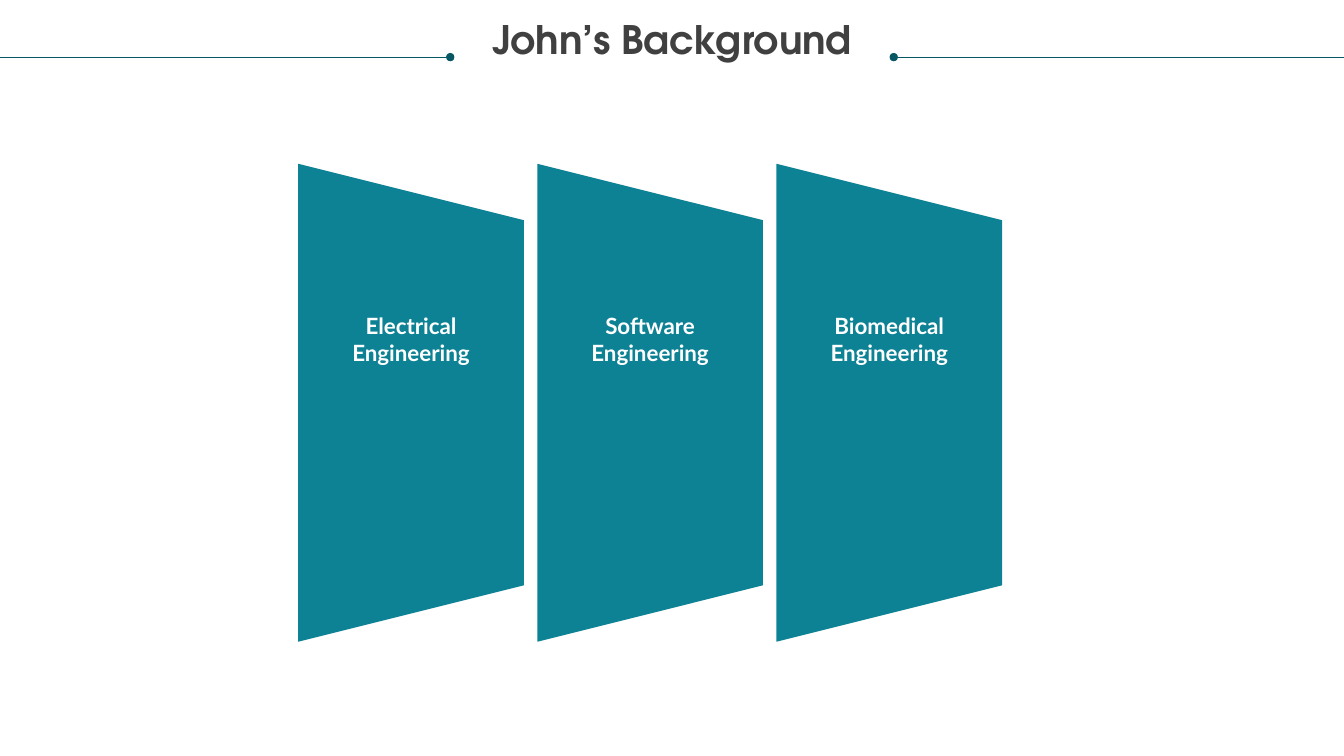
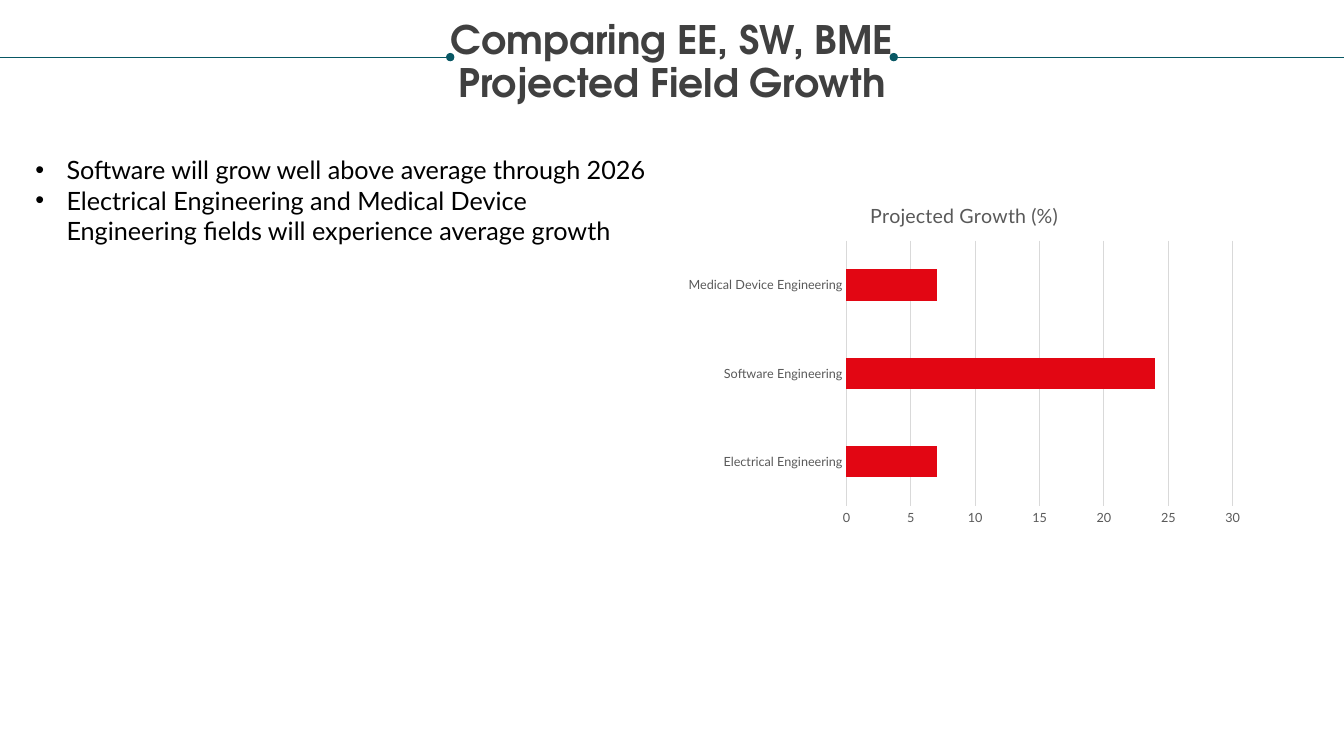
from collections import namedtuple

from pptx import Presentation
from pptx import util as u
from pptx.chart import data as chart_data
from pptx.dml import color
from pptx.enum import chart as chart_enum
from pptx.enum import shapes, text
from pptx.oxml import ns
from lxml import etree

COLS, ROWS = 160, 90
CELL = u.Inches(1 / 12)
RULE, INK, TEAL, RED = "085764", "404040", "0D8295", "E20613"
GREY, GRID, WHITE, BLACK = "595959", "D9D9D9", "FFFFFF", "000000"
HEADING_FONT, BODY_FONT = "TeX Gyre Adventor", "Lato"

Box = namedtuple("Box", "left top width height")


def cells(amount):
    """Turn grid cells into a length."""
    return u.Emu(round(amount * CELL))


def place(box):
    """Turn a box in grid cells into four lengths."""
    return [cells(side) for side in box]


def paint(target, hex_colour):
    """Give a fill or a line's fill one solid colour."""
    target.solid()
    target.fore_color.rgb = color.RGBColor.from_string(hex_colour)


def style(font, name, size, hex_colour, bold=False):
    """Set the face, size and colour of a font."""
    font.name, font.size, font.bold = name, u.Pt(size), bold
    font.color.rgb = color.RGBColor.from_string(hex_colour)


def add_child(parent, tag, **attributes):
    """Append one drawing element to an XML parent."""
    return etree.SubElement(parent, ns.qn(tag), attributes)


def write(frame, lines, font, align, margins=(0, 0), spacing=1.0, bullet=False):
    """Fill a text frame with one paragraph for each line."""
    frame.word_wrap = True
    frame.auto_size = text.MSO_AUTO_SIZE.NONE
    frame.vertical_anchor = text.MSO_ANCHOR.TOP
    frame.margin_left = frame.margin_right = u.Inches(margins[0])
    frame.margin_top = frame.margin_bottom = u.Inches(margins[1])
    for index, line in enumerate(lines):
        paragraph = frame.add_paragraph() if index else frame.paragraphs[0]
        paragraph.alignment = align
        paragraph.line_spacing = spacing
        paragraph.space_before = u.Pt(0)
        if bullet:
            properties = paragraph._p.get_or_add_pPr()
            indent = u.Inches(0.31)
            properties.set("marL", str(indent))
            properties.set("indent", str(-indent))
            add_child(properties, "a:buFont", typeface="Arial")
            add_child(properties, "a:buChar", char="•")
        run = paragraph.add_run()
        run.text = line
        style(run.font, *font)


def add_rule(slide, start, end, row):
    """Draw a header rule that ends in a dot."""
    rule = slide.shapes.add_connector(
        shapes.MSO_CONNECTOR.STRAIGHT, cells(start), cells(row), cells(end), cells(row))
    rule.line.width = u.Pt(0.5)
    paint(rule.line.fill, RULE)
    add_child(rule.line._ln, "a:tailEnd", type="oval")
    add_child(rule._element.spPr, "a:effectLst")


def add_header(slide, lines, box):
    """Place the title between the two dotted rules."""
    title = slide.shapes.title
    title.left, title.top, title.width, title.height = place(box)
    write(title.text_frame, lines, (HEADING_FONT, 28, INK, True),
          text.PP_ALIGN.CENTER, spacing=0.9)
    reach = 53.6
    for start, end in ((0, reach), (COLS, COLS - reach)):
        add_rule(slide, start, end, 6.8)


def add_panel(slide, label, box):
    """Draw a panel that narrows to the right, with its label."""
    turned = Box(box.left + (box.width - box.height) / 2,
                 box.top + (box.height - box.width) / 2, box.height, box.width)
    panel = slide.shapes.add_shape(shapes.MSO_SHAPE.TRAPEZOID, *place(turned))
    panel.rotation = 90
    panel.shadow.inherit = False
    paint(panel.fill, TEAL)
    panel.line.fill.background()
    label_box = Box(box.left + box.width / 6, box.top + 0.31 * box.height,
                    box.width * 2 / 3, 6.5)
    caption = slide.shapes.add_textbox(*place(label_box))
    write(caption.text_frame, label, (BODY_FONT, 16, WHITE, True), text.PP_ALIGN.CENTER)


def add_panels(slide, labels, box, gap):
    """Share a box out among equal panels."""
    width = (box.width - gap * (len(labels) - 1)) / len(labels)
    for index, label in enumerate(labels):
        left = box.left + index * (width + gap)
        add_panel(slide, label, Box(left, box.top, width, box.height))


def add_points(slide, points, box):
    """Put the bulleted points in the body placeholder."""
    body = slide.placeholders[1]
    body.left, body.top, body.width, body.height = place(box)
    write(body.text_frame, points, (BODY_FONT, 18, BLACK), text.PP_ALIGN.LEFT,
          margins=(0.1, 0.05), bullet=True)


def add_growth_chart(slide, heading, growth, box):
    """Draw a bar chart of growth by field."""
    figures = chart_data.CategoryChartData(number_format="#,##0")
    figures.categories = list(growth)
    figures.add_series("Series 1", list(growth.values()))
    chart = slide.shapes.add_chart(
        chart_enum.XL_CHART_TYPE.BAR_CLUSTERED, *place(box), figures).chart
    style(chart.font, BODY_FONT, 10, BLACK)
    chart.has_legend = False
    chart.has_title = True
    title_run = chart.chart_title.text_frame.paragraphs[0].add_run()
    title_run.text = heading
    style(title_run.font, BODY_FONT, 14, GREY)
    chart.chart_title.include_in_layout = False

    plot = chart.plots[0]
    plot.gap_width = 182
    plot.vary_by_categories = False
    paint(plot.series[0].format.fill, RED)

    fields, percent = chart.category_axis, chart.value_axis
    for axis in (fields, percent):
        axis.major_tick_mark = axis.minor_tick_mark = chart_enum.XL_TICK_MARK.NONE
        style(axis.tick_labels.font, BODY_FONT, 9, GREY)
    fields.has_major_gridlines = False
    percent.has_major_gridlines = True
    percent.minimum_scale, percent.maximum_scale, percent.major_unit = 0, 30, 5
    percent.format.line.fill.background()
    for line in (fields.format.line, percent.major_gridlines.format.line):
        line.width = u.Pt(0.75)
        paint(line.fill, GRID)


def build_background(deck):
    """Build the slide of the three fields of study."""
    slide = deck.slides.add_slide(deck.slide_layouts[5])
    add_header(slide, ["John’s Background"], Box(3, 2.5, 154, 5))
    labels = [["Electrical Engineering"], ["Software", "Engineering"],
              ["Biomedical", "Engineering"]]
    add_panels(slide, labels, Box(35.5, 19.5, 83.8, 56.9), 1.6)


def build_growth(deck):
    """Build the slide that compares projected growth."""
    slide = deck.slides.add_slide(deck.slide_layouts[1])
    add_header(slide, ["Comparing EE, SW, BME", "Projected Field Growth"],
               Box(3, 2.5, 154, 15.3))
    add_points(slide, [
        "Software will grow well above average through 2026",
        "Electrical Engineering and Medical Device Engineering fields "
        "will experience average growth",
    ], Box(3, 17.8, 76.3, 21.4))
    growth = {"Electrical Engineering": 7, "Software Engineering": 24,
              "Medical Device Engineering": 7}
    add_growth_chart(slide, "Projected Growth (%)", growth, Box(80.6, 22.1, 68.4, 41.3))


def main():
    """Build and save the deck."""
    deck = Presentation()
    deck.slide_width, deck.slide_height = cells(COLS), cells(ROWS)
    build_background(deck)
    build_growth(deck)
    deck.save("out.pptx")


if __name__ == "__main__":
    main()
